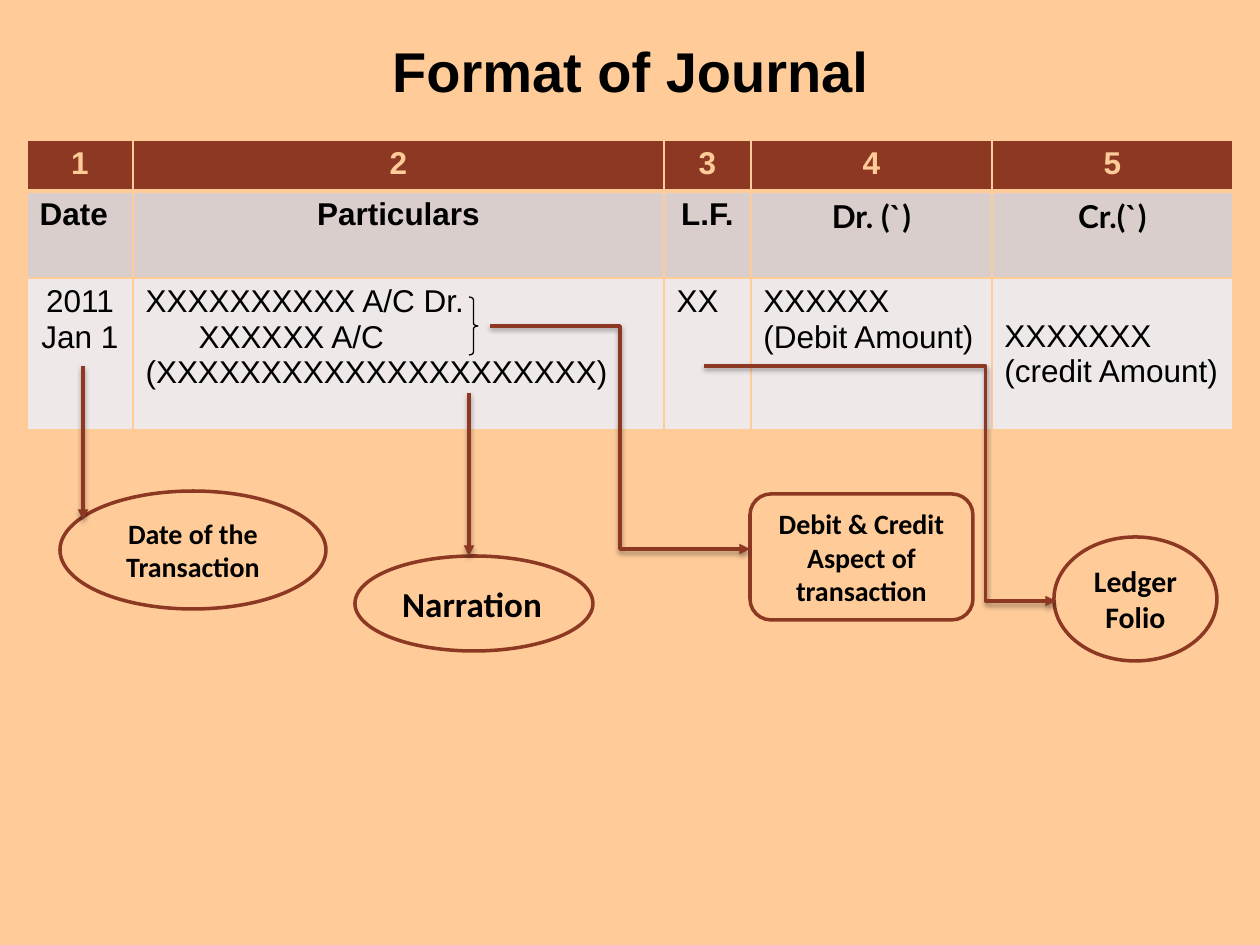
from lxml.etree import SubElement
from pptx import Presentation
from pptx.dml.color import RGBColor
from pptx.enum.shapes import MSO_CONNECTOR, MSO_SHAPE
from pptx.enum.text import MSO_ANCHOR, PP_ALIGN
from pptx.oxml import parse_xml
from pptx.oxml.ns import nsdecls, qn
from pptx.util import Pt

SCALE = 914400 / 126
COLORS = {"page": "FFCC99", "accent": "8C3823", "heading": "DACECD",
          "entry": "EEE8E8", "ink": "000000"}
COLUMNS = [106, 531, 87, 241, 241]
ROWS = [51, 87, 152]
CENTER, LEFT = PP_ALIGN.CENTER, PP_ALIGN.LEFT
JOURNAL = [
    ["1", "2", "3", "4", "5"],
    ["Date", "Particulars", "L.F.", "Dr. (`)", "Cr.(`)"],
    ["2011\nJan 1", "XXXXXXXXXX A/C Dr.\nXXXXXX A/C\n(XXXXXXXXXXXXXXXXXXXXX)",
     "XX", "XXXXXX\n(Debit Amount)", "XXXXXXX\n(credit Amount)"],
]
LABELS = [
    ("Date of the Transaction", MSO_SHAPE.OVAL, (60, 491, 266, 118), 16, CENTER),
    ("Narration", MSO_SHAPE.OVAL, (355, 556, 238, 95), 20, LEFT),
    ("Debit & Credit Aspect of transaction", MSO_SHAPE.ROUNDED_RECTANGLE,
     (750, 494, 223, 126), 16, CENTER),
    ("Ledger Folio", MSO_SHAPE.OVAL, (1054, 537, 163, 124), 17, CENTER),
]
ARROWS = [
    ((83, 366), (83, 520), None),
    ((469, 393), (469, 556), None),
    ((490, 326), (750, 549), 0.5),
    ((704, 366), (1056, 601), 0.8),
]


def px(*lengths):
    """Turn pixel lengths into a list of EMU."""
    return [round(length * SCALE) for length in lengths]


def color(name):
    """Look up a named colour."""
    return RGBColor.from_string(COLORS[name])


def style_text(frame, size, font, ink, bold, align):
    """Format every paragraph and run of a text frame."""
    for para in frame.paragraphs:
        para.alignment = align
        for span in para.runs:
            span.font.size = Pt(size)
            span.font.name = font
            span.font.bold = bold
            span.font.color.rgb = color(ink)


def add_title(page, text):
    """Fill and place the title placeholder."""
    title = page.shapes.title
    title.left, title.top, title.width, title.height = px(25, 25, 1211, 85)
    title.text_frame.text = text
    title.text_frame.vertical_anchor = MSO_ANCHOR.BOTTOM
    style_text(title.text_frame, 32, "Arial", "ink", True, CENTER)


def set_borders(cell, bottom):
    """Draw the four cell borders; the bottom one has its own width."""
    properties = cell._tc.get_or_add_tcPr()
    widths = {"lnL": 1, "lnR": 1, "lnT": 1, "lnB": bottom}
    for index, (side, width) in enumerate(widths.items()):
        properties.insert(index, parse_xml(
            f'<a:{side} {nsdecls("a")} w="{Pt(width)}"><a:solidFill>'
            f'<a:srgbClr val="{COLORS["page"]}"/></a:solidFill></a:{side}>'))


def add_journal(page):
    """Add the journal table."""
    frame = page.shapes.add_table(len(ROWS), len(COLUMNS),
                                  *px(27, 140, sum(COLUMNS), sum(ROWS)))
    table = frame.table
    for column, width in zip(table.columns, COLUMNS):
        column.width = px(width)[0]
    fills = ["accent", "heading", "entry"]
    for row_index, texts in enumerate(JOURNAL):
        table.rows[row_index].height = px(ROWS[row_index])[0]
        for column_index, text in enumerate(texts):
            cell = table.cell(row_index, column_index)
            cell.text_frame.text = text
            cell.fill.solid()
            cell.fill.fore_color.rgb = color(fills[row_index])
            set_borders(cell, 3 if row_index == 0 else 1)
            left = (row_index, column_index) == (1, 0) or (row_index == 2 and column_index)
            style_text(cell.text_frame, 18, "Lato" if "`" in text else "Arial",
                       "page" if row_index == 0 else "ink", row_index < 2,
                       LEFT if left else CENTER)
    credited = table.cell(2, 1).text_frame.paragraphs[1]
    credited._p.get_or_add_pPr().set("marL", str(px(53)[0]))
    table.cell(2, 4).margin_top = px(41)[0]


def add_outline(page, kind, box, line, width):
    """Add a preset shape without shadow and with a plain outline."""
    shape = page.shapes.add_shape(kind, *px(*box))
    shape.shadow.inherit = False
    shape.line.color.rgb = color(line)
    shape.line.width = Pt(width)
    return shape


def add_label(page, text, kind, box, size, align):
    """Add an explanatory label below the table."""
    shape = add_outline(page, kind, box, "accent", 2)
    shape.fill.solid()
    shape.fill.fore_color.rgb = color("page")
    shape.text_frame.text = text
    shape.text_frame.vertical_anchor = MSO_ANCHOR.MIDDLE
    shape.text_frame.paragraphs[0].space_after = Pt(10)
    style_text(shape.text_frame, size, "Calibri", "ink", True, align)


def add_brace(page):
    """Add the brace that joins the debit and credit lines."""
    brace = add_outline(page, MSO_SHAPE.RIGHT_BRACE, (469, 297, 9, 58), "ink", 0.75)
    brace.fill.background()
    brace.adjustments[0] = 0.32


def add_arrow(page, start, end, bend):
    """Add a straight arrow, or an elbow that bends at a share of its width."""
    kind = MSO_CONNECTOR.STRAIGHT if bend is None else MSO_CONNECTOR.ELBOW
    arrow = page.shapes.add_connector(kind, *px(*start, *end))
    arrow.line.color.rgb = color("accent")
    arrow.line.width = Pt(2)
    SubElement(arrow.line._get_or_add_ln(), qn("a:tailEnd"), type="triangle")
    properties = arrow._element.spPr
    if bend is not None:
        guides = properties.find(qn("a:prstGeom")).get_or_add_avLst()
        SubElement(guides, qn("a:gd"), name="adj1", fmla=f"val {round(bend * 100000)}")
    properties.append(parse_xml(
        f'<a:effectLst {nsdecls("a")}><a:outerShdw blurRad="{Pt(3.1)}" '
        f'dist="{Pt(1.6)}" dir="5400000" rotWithShape="0"><a:srgbClr '
        f'val="{COLORS["ink"]}"><a:alpha val="38000"/></a:srgbClr>'
        '</a:outerShdw></a:effectLst>'))


def main():
    """Build the slide and save it."""
    deck = Presentation()
    deck.slide_width, deck.slide_height = px(1260, 945)
    page = deck.slides.add_slide(deck.slide_layouts[5])
    page.background.fill.solid()
    page.background.fill.fore_color.rgb = color("page")
    add_title(page, "Format of Journal")
    add_journal(page)
    add_brace(page)
    for label in LABELS:
        add_label(page, *label)
    for arrow in ARROWS:
        add_arrow(page, *arrow)
    deck.save("out.pptx")


main()
